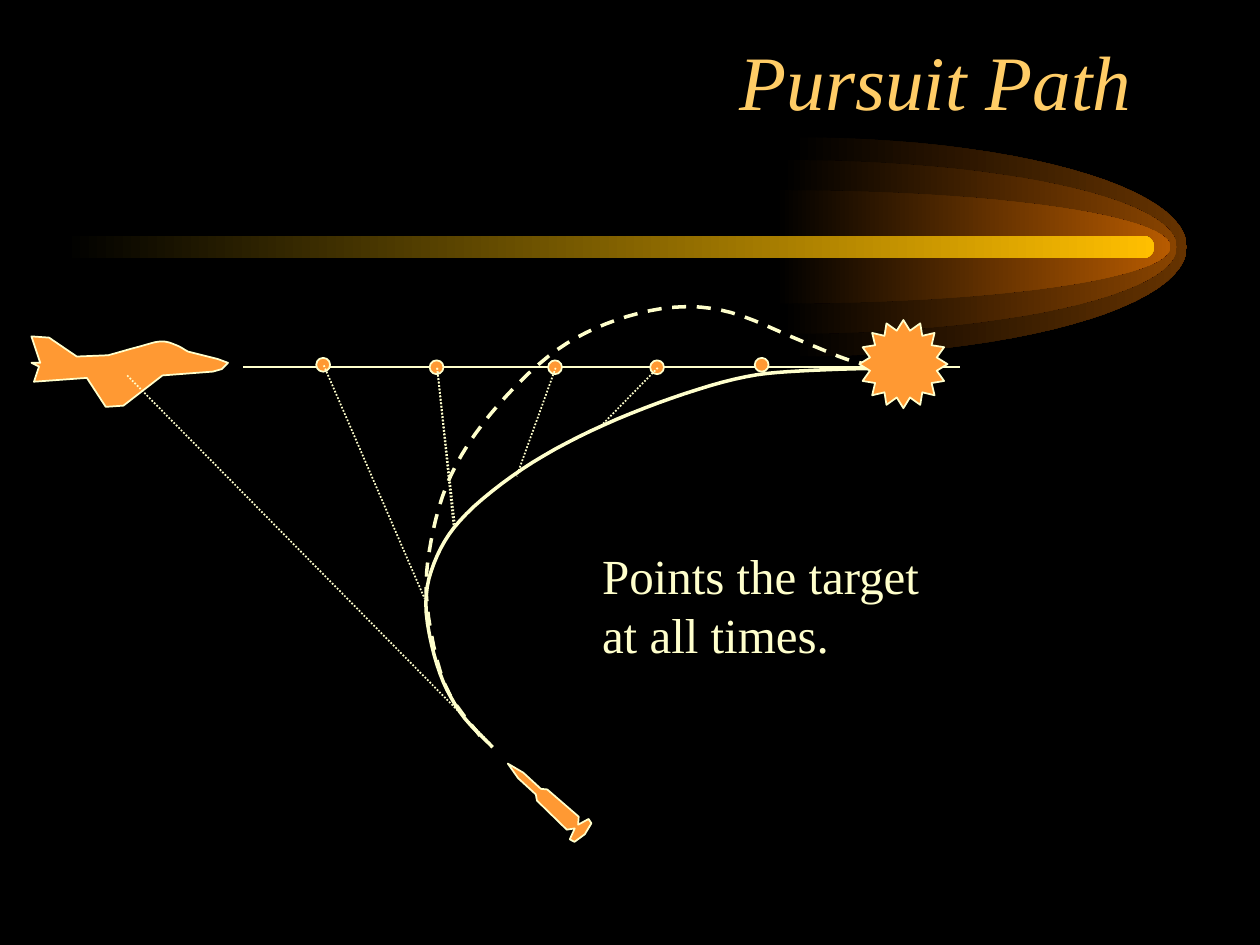
from math import atan2, cos, pi, sin

from lxml.etree import SubElement
from pptx import Presentation
from pptx.dml.color import RGBColor
from pptx.enum.dml import MSO_LINE as Dash
from pptx.enum.shapes import MSO_CONNECTOR as Link, MSO_SHAPE as Form
from pptx.enum.text import MSO_ANCHOR as Anchor, PP_ALIGN as Align
from pptx.oxml.ns import qn
from pptx.util import Emu, Pt

PX = 9144   # 100 px to the inch
FINE = 12   # outline steps within one px
FONT = "Times New Roman"

BLACK = RGBColor(0x00, 0x00, 0x00)
CREAM = RGBColor(0xFF, 0xFF, 0xCC)
ORANGE = RGBColor(0xFF, 0x99, 0x33)
GOLD = RGBColor(0xFF, 0xCC, 0x66)
AMBER = RGBColor(0xFF, 0xBF, 0x00)
BROWN = RGBColor(0x66, 0x33, 0x00)
RUST = RGBColor(0x89, 0x44, 0x00)
COPPER = RGBColor(0xB7, 0x5B, 0x00)

# Comet glow: centre x, half height, colour at the head
MID, REACH = 196, 313
GLOWS = [(629, 87, BROWN), (621, 69, RUST), (616, 45, COPPER)]

# Target: its parts, clockwise from the tail
TAIL = [(27, 303), (31, 291), (25, 288), (32, 288), (25, 267), (39, 268),
        (61, 283)]
CABIN = [(86, 282), (111, 275), (128, 271), (140, 274), (149, 279)]
NOSE = [(173, 285), (181, 288), (176, 293), (169, 295)]
WING = [(129, 298), (98, 322), (84, 323), (69, 300)]

# Missile: tip, end of its axis, and (distance along, half width) of its hull
TIP, END = (403, 606), (464, 662)
HULL = [(0, 0), (14, 3), (33, 3), (37, 6), (70, 7), (74, 2), (77, 11),
        (81, 10), (83, 0)]

# Hit: centre, outer and inner radius, number of spikes
HIT, OUTER, INNER, SPIKES = (717, 289), 35, 27, 16

# Knots of the two flight paths, from missile to hit
CHASE = [(391, 593), (365, 565), (347, 528), (338, 479), (347, 441),
         (370, 408), (415, 372), (469, 342), (533, 316), (592, 299),
         (643, 294), (710, 292)]
LOOP = [(381, 584), (353, 543), (339, 480), (342, 430), (358, 377),
        (389, 329), (435, 283), (481, 257), (533, 244), (580, 248),
        (637, 271), (678, 287), (707, 290)]

# Target positions, each with the missile positions that sight it
DOT = 11
START, FIRST = (101, 298), (389, 590)
SIGHTS = [((257, 290), [(337, 475)]),
          ((347, 292), [(360, 418), (361, 416)]),
          ((441, 292), [(410, 378)]),
          ((522, 292), [(478, 337)]),
          ((605, 290), [])]


def polar(mid, wide, high, turn):
    return mid[0] + wide * cos(turn), mid[1] + high * sin(turn)


def dome(x, half, steps=48):
    """Right half of an ellipse, from top to bottom."""
    return [polar((x, MID), REACH, half, pi * (i / steps - 0.5))
            for i in range(steps + 1)]


def burst():
    """Star outline: outer and inner corners by turns."""
    radii = (OUTER, INNER)
    return [polar(HIT, radii[i % 2], radii[i % 2], pi * i / SPIKES)
            for i in range(2 * SPIKES)]


def spline(knots, steps=6):
    """Smooth Catmull-Rom curve through all knots."""
    ends = [knots[0], *knots, knots[-1]]
    points = []
    for quad in zip(ends, ends[1:], ends[2:], ends[3:]):
        for i in range(steps):
            t = i / steps
            points.append(tuple(
                b + t * (c - a + t * (2 * a - 5 * b + 4 * c - d
                                      + t * (3 * b - a - 3 * c + d))) / 2
                for a, b, c, d in zip(*quad)))
    return points + [knots[-1]]


def mirror(half):
    """Close a half profile over the axis from TIP to END."""
    turn = atan2(END[1] - TIP[1], END[0] - TIP[0])
    both = half + [(far, -wide) for far, wide in half[-2:0:-1]]
    return [(TIP[0] + far * cos(turn) - wide * sin(turn),
             TIP[1] + far * sin(turn) + wide * cos(turn))
            for far, wide in both]


class Pen:
    def __init__(self, slide):
        self.slide = slide
        self.shapes = slide.shapes

    def back(self, color):
        fill = self.slide.background.fill
        fill.solid()
        fill.fore_color.rgb = color

    def stroke(self, line, width, dash=None):
        line.color.rgb = CREAM
        line.width = Pt(width)
        if dash:
            line.dash_style = dash

    def paint(self, shape):
        shape.shadow.inherit = False
        shape.fill.solid()
        shape.fill.fore_color.rgb = ORANGE
        self.stroke(shape.line, 1)

    def fade(self, shape, color):
        """Fill from black at the left to the colour at the right."""
        shape.shadow.inherit = False
        shape.line.fill.background()
        shape.fill.gradient()
        shape.fill.gradient_angle = 0
        for stop, tone in zip(shape.fill.gradient_stops, (BLACK, color)):
            stop.color.rgb = tone

    def trace(self, points, close=True):
        grid = [(x * FINE, y * FINE) for x, y in points]
        path = self.shapes.build_freeform(*grid[0], scale=PX / FINE)
        path.add_line_segments(grid[1:], close=close)
        return path.convert_to_shape()

    def solid(self, points):
        self.paint(self.trace(points))

    def glow(self, x, half, color):
        self.fade(self.trace(dome(x, half)), color)

    def curve(self, knots, dash=None):
        shape = self.trace(spline(knots), close=False)
        shape.shadow.inherit = False
        shape.fill.background()
        self.stroke(shape.line, 2, dash)

    def preset(self, form, *box):
        return self.shapes.add_shape(form, *(Emu(n * PX) for n in box))

    def beam(self, *box):
        bar = self.preset(Form.ROUNDED_RECTANGLE, *box)
        bar.adjustments[0] = 0.5
        self.fade(bar, AMBER)

    def dot(self, x, y):
        half = (DOT + 1) // 2
        self.paint(self.preset(Form.OVAL, x - half, y - half, DOT, DOT))

    def line(self, start, end, dash=None):
        link = self.shapes.add_connector(
            Link.STRAIGHT, *(Emu(n * PX) for n in (*start, *end)))
        self.stroke(link.line, 1, dash)
        SubElement(link._element.spPr, qn("a:effectLst"))

    def text(self, box, lines, size, color, align=Align.LEFT,
             anchor=Anchor.TOP, wrap=True, italic=False):
        frame = self.shapes.add_textbox(*(Emu(n * PX) for n in box)).text_frame
        frame.word_wrap = wrap
        frame.vertical_anchor = anchor
        for i, words in enumerate(lines):
            para = frame.add_paragraph() if i else frame.paragraphs[0]
            para.alignment = align
            run = para.add_run()
            run.text = words
            font = run.font
            font.name, font.size, font.italic = FONT, Pt(size), italic
            font.color.rgb = color


def main():
    deck = Presentation()
    deck.slide_width, deck.slide_height = Emu(1000 * PX), Emu(750 * PX)
    pen = Pen(deck.slides.add_slide(deck.slide_layouts[6]))
    pen.back(BLACK)
    for glow in GLOWS:
        pen.glow(*glow)
    pen.beam(50, 187, 866, 18)
    pen.text((58, 0, 850, 127), ["Pursuit Path"], 44, GOLD,
             Align.RIGHT, Anchor.MIDDLE, italic=True)

    pen.solid(TAIL + spline(CABIN) + NOSE + WING)
    pen.line((193, 291), (762, 291))
    pen.solid(mirror(HULL))
    pen.curve(CHASE)
    pen.curve(LOOP, Dash.DASH)
    pen.line(START, FIRST, Dash.ROUND_DOT)
    for spot, aims in SIGHTS:
        pen.dot(*spot)
        for aim in aims:
            pen.line(spot, aim, Dash.ROUND_DOT)
    pen.solid(burst())
    pen.text((468, 428, 282, 103), ["Points the target", "at all times."],
             28, CREAM, wrap=False)
    deck.save("out.pptx")


if __name__ == "__main__":
    main()
